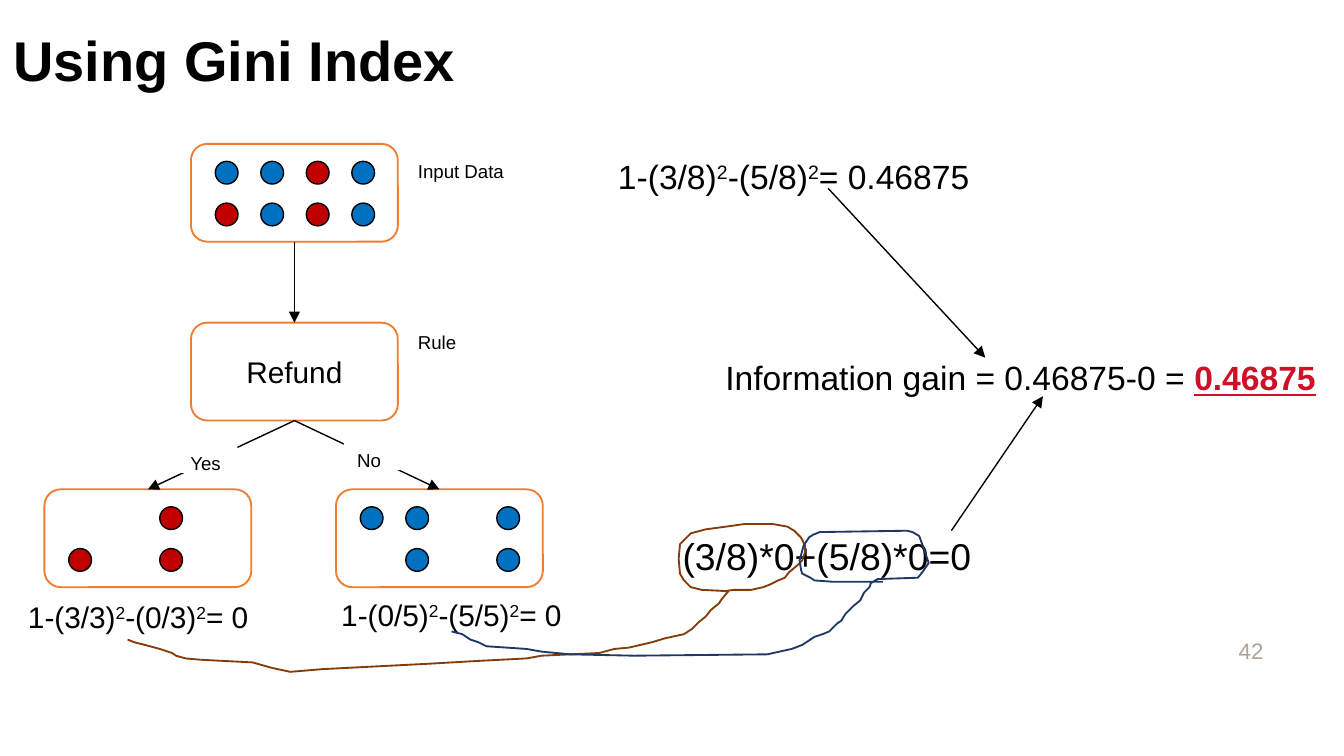
"""Builds the slide that works out information gain with the Gini index."""
import lxml.etree
import pptx
import pptx.dml.color
import pptx.enum.shapes
import pptx.enum.text
import pptx.oxml.ns
import pptx.util

Cm = pptx.util.Cm
Pt = pptx.util.Pt
qn = pptx.oxml.ns.qn
KIND = pptx.enum.shapes.MSO_SHAPE
ALIGN = pptx.enum.text.PP_ALIGN
MIDDLE = pptx.enum.text.MSO_ANCHOR.MIDDLE

HUES = {
    "black": "000000", "white": "FFFFFF", "grey": "ACA39A",
    "orange": "ED7D31", "blue": "0070C0", "red": "C00000",
    "gain": "CE1126", "brown": "843C0B", "navy": "203864",
}
DOTS = {"B": "blue", "R": "red"}

YES_LOOP = [
    (95, 476), (100, 478), (108, 480), (119, 483), (122, 484), (128, 486),
    (131, 488), (138, 490), (149, 491), (188, 493), (202, 497), (216, 500),
    (240, 498), (319, 494), (354, 492), (392, 490), (403, 488), (446, 486),
    (457, 483), (468, 482), (485, 478), (495, 475), (509, 472), (515, 468),
    (520, 463), (525, 459), (529, 454), (535, 449), (537, 446), (542, 440),
    (522, 439), (514, 437), (509, 432), (506, 427), (505, 416), (506, 405),
    (511, 400), (514, 397), (525, 394), (540, 392), (554, 390), (575, 390),
    (586, 392), (591, 395), (596, 400), (599, 406), (599, 411), (597, 417),
    (593, 421), (587, 426), (584, 430), (579, 432), (573, 435), (568, 437),
    (559, 439), (546, 439), (539, 440),
]
NO_LOOP = [
    (336, 470), (344, 472), (350, 476), (356, 478), (362, 481), (377, 482),
    (392, 483), (403, 485), (424, 487), (472, 488), (571, 487), (580, 485),
    (589, 483), (597, 480), (606, 474), (612, 472), (617, 470), (623, 464),
    (626, 462), (629, 457), (635, 451), (640, 447), (643, 441), (647, 437),
    (648, 434), (653, 431), (683, 430), (687, 425), (691, 419), (688, 410),
    (684, 399), (679, 396), (675, 395), (610, 396), (605, 398), (602, 400),
    (598, 406), (595, 417), (596, 424), (597, 427), (603, 430), (606, 432),
    (620, 433), (657, 433),
]


def tint(name):
    """Return the named colour."""
    return pptx.dml.color.RGBColor.from_string(HUES[name])


def style(run, size, hue="black"):
    """Set the font of a run."""
    run.font.name = "Arial"
    run.font.size = Pt(size)
    run.font.color.rgb = tint(hue)


def shape(slide, kind, place, fill, line=None, width=1):
    """Add a flat preset shape."""
    item = slide.shapes.add_shape(kind, *map(Cm, place))
    item.shadow.inherit = False
    item.fill.solid()
    item.fill.fore_color.rgb = tint(fill)
    if line:
        item.line.color.rgb = tint(line)
        item.line.width = Pt(width)
    else:
        item.line.fill.background()
    return item


def box(slide, left, top, rows=()):
    """Add a rounded node with a grid of dots."""
    node = shape(slide, KIND.ROUNDED_RECTANGLE, (left, top, 3.91, 1.85), "white", "orange")
    for down, row in enumerate(rows):
        for step, key in enumerate(row):
            if key in DOTS:
                place = (left + 0.46 + 0.86 * step, top + 0.33 + 0.79 * down, 0.43, 0.43)
                shape(slide, KIND.OVAL, place, DOTS[key], "black", 0.75)
    return node


def arrow(slide, start=(0, 0), end=(0, 0)):
    """Add a thin line with an arrowhead at its end."""
    line = slide.shapes.add_connector(
        pptx.enum.shapes.MSO_CONNECTOR.STRAIGHT, *map(Cm, (*start, *end)))
    line.line.color.rgb = tint("black")
    line.line.width = Pt(0.75)
    head = lxml.etree.SubElement(line.line._get_or_add_ln(), qn("a:tailEnd"))
    head.set("type", "triangle")
    lxml.etree.SubElement(line._element.spPr, qn("a:effectLst"))
    return line


def link(slide, above, below):
    """Join the bottom of one node to the top of another."""
    line = arrow(slide)
    line.begin_connect(above, 2)
    line.end_connect(below, 0)


def label(slide, text, left, top, width):
    """Add a small white caption."""
    item = shape(slide, KIND.RECTANGLE, (left, top, width, 0.53), "white")
    frame = item.text_frame
    frame.text = text
    frame.vertical_anchor = pptx.enum.text.MSO_ANCHOR.TOP
    frame.paragraphs[0].alignment = ALIGN.LEFT
    style(frame.paragraphs[0].runs[0], 10)


def note(slide, parts, place, size, hue="black", wrap=True):
    """Add a text box with one run per part, raising each bare 2."""
    frame = slide.shapes.add_textbox(*map(Cm, place)).text_frame
    frame.word_wrap = wrap
    for part in parts:
        run = frame.paragraphs[0].add_run()
        run.text = part
        style(run, size, hue)
        if part == "2":
            run._r.get_or_add_rPr().set("baseline", "30000")
    return frame


def loop(slide, points, hue):
    """Draw an open hand-drawn line through points in hundredths of an inch."""
    pen = slide.shapes.build_freeform(*points[0], scale=Cm(2.54) / 100)
    pen.add_line_segments(points[1:], close=False)
    item = pen.convert_to_shape()
    item.shadow.inherit = False
    item.fill.background()
    item.line.color.rgb = tint(hue)
    item.line.width = Pt(1)


def title(slide, text):
    """Fill and place the title."""
    head = slide.shapes.title
    head.left, head.top, head.width, head.height = map(Cm, (0, 0, 21.59, 2.39))
    head.text_frame.text = text
    head.text_frame.vertical_anchor = MIDDLE
    line = head.text_frame.paragraphs[0]
    line.alignment = ALIGN.LEFT
    line.line_spacing = 0.9
    style(line.runs[0], 30)
    line.runs[0].font.bold = True


def tree(slide):
    """Draw the split from the input data to its two branches."""
    rule = box(slide, 3.61, 6.1)
    rule.text_frame.text = "Refund"
    rule.text_frame.vertical_anchor = MIDDLE
    rule.text_frame.paragraphs[0].alignment = ALIGN.CENTER
    style(rule.text_frame.paragraphs[0].runs[0], 16)
    data = box(slide, 3.61, 2.72, ("BBRB", "RBRB"))
    yes = box(slide, 0.84, 9.25, ("--R-", "R-R-"))
    no = box(slide, 6.35, 9.25, ("BB-B", "-B-B"))
    for pair in ((data, rule), (rule, yes), (rule, no)):
        link(slide, *pair)
    label(slide, "Yes", 3.35, 8.41, 1.14)
    label(slide, "No", 6.5, 8.36, 1.14)
    label(slide, "Input Data", 7.65, 2.9, 3.2)
    label(slide, "Rule", 7.65, 6.12, 3.2)


def sums(slide):
    """Write the Gini sums and tie them to the gain."""
    note(slide, ("1-(3/8)", "2", "-(5/8)", "2", "= 0.46875"),
         (11.43, 2.82, 7.26, 1.02), 18, wrap=False)
    note(slide, ("1-(3/3)", "2", "-(0/3)", "2", "= 0"), (0.28, 11.2, 4.85, 0.94), 16)
    note(slide, ("1-(0/5)", "2", "-(5/5)", "2", "= 0"), (6.2, 11.15, 4.85, 0.94), 16)
    note(slide, ("(3/8)*0+(5/8)*0=0",), (12.65, 9.96, 7.24, 1.12), 20)
    loop(slide, YES_LOOP, "brown")
    loop(slide, NO_LOOP, "navy")
    arrow(slide, (15.65, 3.56), (18.62, 6.76))
    arrow(slide, (17.98, 10.03), (19.71, 7.49))
    gain = note(slide, ("Information gain = 0.46875-0 = ", "0.46875"),
                (13.46, 6.63, 11.76, 1.02), 18, wrap=False)
    last = gain.paragraphs[0].runs[1]
    style(last, 18, "gain")
    last.font.bold = last.font.underline = True


def main():
    """Build and save the slide."""
    deck = pptx.Presentation()
    deck.slide_width, deck.slide_height = Cm(25.4), Cm(14.29)
    slide = deck.slides.add_slide(deck.slide_layouts[5])
    title(slide, "Using Gini Index")
    page = note(slide, ("42",), (18.21, 11.91, 5.92, 0.76), 12, "grey")
    page.vertical_anchor = MIDDLE
    page.paragraphs[0].alignment = ALIGN.RIGHT
    tree(slide)
    sums(slide)
    deck.save("out.pptx")


if __name__ == "__main__":
    main()
